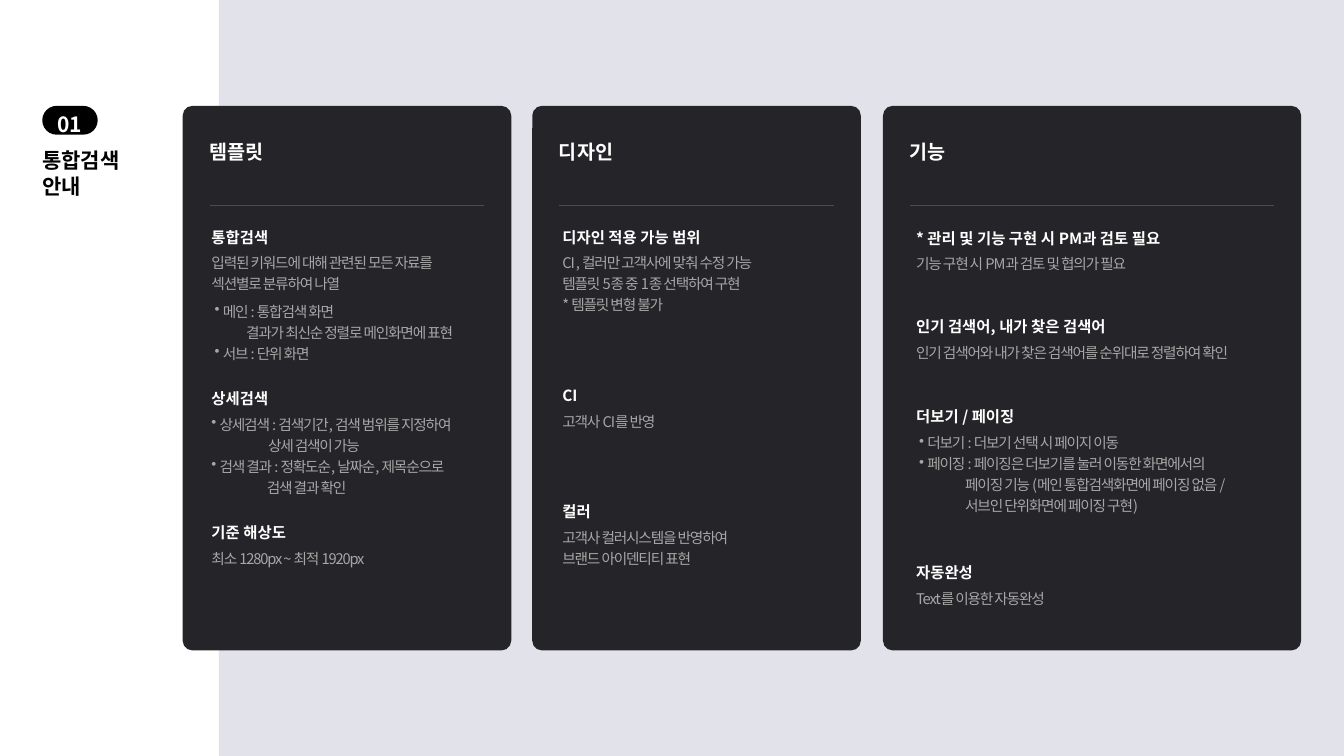
from dataclasses import dataclass

from lxml.etree import SubElement
from pptx import Presentation
from pptx.dml.color import RGBColor
from pptx.enum.shapes import MSO_CONNECTOR, MSO_SHAPE
from pptx.enum.text import MSO_AUTO_SIZE, PP_ALIGN
from pptx.oxml.ns import qn
from pptx.util import Pt


@dataclass(frozen=True)
class Theme:
    font: str = "Noto Sans CJK KR"
    backdrop: str = "E2E2EA"
    card: str = "252529"
    divider: str = "4C4C52"
    black: str = "000000"
    white: str = "FFFFFF"
    muted: str = "A7A7A7"
    title_size: float = 15
    heading_size: float = 14
    section_size: float = 11
    body_size: float = 10.5
    body_leading: float = 15
    body_tracking: float = -0.8


@dataclass(frozen=True)
class Line:
    text: str
    indent: float = 0
    bullet: bool = False


@dataclass(frozen=True)
class Block:
    lines: list
    top: float = 16.6
    shift: float = 0


@dataclass(frozen=True)
class Section:
    top: float
    title: str
    blocks: list


THEME = Theme()
BULLET_HANG = 5.8


def item(text):
    return Line(text, BULLET_HANG, True)


def plain(*texts):
    return [Block([Line(text) for text in texts])]


TEMPLATE_SECTIONS = [
    Section(83.5, "통합검색", [
        *plain("입력된 키워드에 대해 관련된 모든 자료를", "섹션별로 분류하여 나열"),
        Block([
            item("메인 : 통합검색 화면"),
            Line("결과가 최신순 정렬로 메인화면에 표현", 22.5),
            item("서브 : 단위 화면"),
        ], top=51.1, shift=2.2),
    ]),
    Section(198.7, "상세검색", [
        Block([
            item("상세검색 : 검색기간, 검색 범위를 지정하여"),
            Line("상세 검색이 가능", 40.4),
            item("검색 결과 : 정확도순, 날짜순, 제목순으로"),
            Line("검색 결과 확인", 39.6),
        ]),
    ]),
    Section(294.5, "기준 해상도", plain("최소 1280px ~ 최적 1920px")),
]

DESIGN_SECTIONS = [
    Section(83.5, "디자인 적용 가능 범위", plain(
        "CI , 컬러만 고객사에 맞춰 수정 가능",
        "템플릿 5종 중 1종 선택하여 구현",
        "* 템플릿 변형 불가",
    )),
    Section(196.6, "CI", plain("고객사 CI를 반영")),
    Section(279.4, "컬러", plain("고객사 컬러시스템을 반영하여", "브랜드 아이덴티티 표현")),
]

FEATURE_SECTIONS = [
    Section(84.2, "* 관리 및 기능 구현 시 PM과 검토 필요", plain("기능 구현 시 PM과 검토 및 협의가 필요")),
    Section(147.6, "인기 검색어, 내가 찾은 검색어", plain("인기 검색어와 내가 찾은 검색어를 순위대로 정렬하여 확인")),
    Section(211.7, "더보기 / 페이징", [
        Block([
            item("더보기 : 더보기 선택 시 페이지 이동"),
            item("페이징 : 페이징은 더보기를 눌러 이동한 화면에서의"),
            Line("페이징 기능 (메인 통합검색화면에 페이징 없음 /", 32.8),
            Line("서브인 단위화면에 페이징 구현)", 32.8),
        ], shift=2.2),
    ]),
    Section(323.3, "자동완성", plain("Text를 이용한 자동완성")),
]


def add_text(slide, box, lines, size, color, bold=False, align=None, leading=None, tracking=None):
    frame = slide.shapes.add_textbox(*map(Pt, box)).text_frame
    frame.word_wrap = True
    frame.auto_size = MSO_AUTO_SIZE.SHAPE_TO_FIT_TEXT
    for index, line in enumerate(lines):
        paragraph = frame.paragraphs[0] if index == 0 else frame.add_paragraph()
        properties = paragraph._p.get_or_add_pPr()
        if line.indent:
            properties.set("marL", str(int(Pt(line.indent))))
        if line.bullet:
            properties.set("indent", str(-int(Pt(line.indent))))
            SubElement(properties, qn("a:buChar")).set("char", "•")
        if align is not None:
            paragraph.alignment = align
        if leading is not None:
            paragraph.line_spacing = leading
        run = paragraph.add_run()
        run.text = line.text
        run.font.size = Pt(size)
        run.font.bold = bold
        run.font.color.rgb = RGBColor.from_string(color)
        run.font.name = THEME.font
        run_properties = run._r.get_or_add_rPr()
        SubElement(run_properties, qn("a:ea")).set("typeface", THEME.font)
        if tracking is not None:
            run_properties.set("spc", str(round(tracking * 100)))


def add_panel(slide, box, color, radius=0):
    kind = MSO_SHAPE.ROUNDED_RECTANGLE if radius else MSO_SHAPE.RECTANGLE
    panel = slide.shapes.add_shape(kind, *map(Pt, box))
    if radius:
        panel.adjustments[0] = radius / min(box[2:])
    panel.shadow.inherit = False
    panel.fill.solid()
    panel.fill.fore_color.rgb = RGBColor.from_string(color)
    panel.line.fill.background()


def add_divider(slide, left, right, y):
    divider = slide.shapes.add_connector(
        MSO_CONNECTOR.STRAIGHT, Pt(left), Pt(y), Pt(right), Pt(y))
    divider.line.color.rgb = RGBColor.from_string(THEME.divider)
    divider.line.width = Pt(0.5)
    SubElement(divider._element.spPr, qn("a:effectLst"))


def add_title(slide, box):
    left, top, width, height = box
    add_panel(slide, (left, top, 39.6, 20.6), THEME.black, radius=10.3)
    add_text(slide, (left + 2.9, top - 8.6, 33.8, 31), [Line("01")],
             THEME.title_size, THEME.white, bold=True, align=PP_ALIGN.CENTER, leading=1.5)
    add_text(slide, (left - 7.2, top + 26.6, width, height - 26.6),
             [Line("통합검색"), Line("안내")], THEME.title_size, THEME.black, bold=True)


def add_card(slide, box, heading, sections, inset):
    left, top, width, height = box
    add_panel(slide, box, THEME.card, radius=7)
    add_text(slide, (left + 12, top + 20.9, width - 24, 24.5), [Line(heading)],
             THEME.heading_size, THEME.white, bold=True)
    add_divider(slide, left + 19.4, left + width - 19.4, top + 71.3)
    text_width = width - inset - 4
    for section in sections:
        section_top = top + section.top
        add_text(slide, (left + inset, section_top, text_width, 20.9), [Line(section.title)],
                 THEME.section_size, THEME.white, bold=True)
        for block in section.blocks:
            block_height = len(block.lines) * THEME.body_leading + 7.2
            add_text(slide,
                     (left + inset + block.shift, section_top + block.top,
                      text_width - block.shift, block_height),
                     block.lines, THEME.body_size, THEME.muted,
                     leading=Pt(THEME.body_leading), tracking=THEME.body_tracking)


def main():
    deck = Presentation()
    deck.slide_width, deck.slide_height = Pt(960), Pt(540)
    slide = deck.slides.add_slide(deck.slide_layouts[6])
    add_panel(slide, (156.3, 0, 803.7, 540), THEME.backdrop)
    add_title(slide, (30.2, 75.6, 87, 70.6))
    card_top, card_height = 75.6, 389
    for left, width, heading, sections, inset in (
        (130.5, 234.7, "템플릿", TEMPLATE_SECTIONS, 13.5),
        (380.2, 234.7, "디자인", DESIGN_SECTIONS, 14.4),
        (630.7, 298.7, "기능", FEATURE_SECTIONS, 16.6),
    ):
        add_card(slide, (left, card_top, width, card_height), heading, sections, inset)
    deck.save("out.pptx")


if __name__ == "__main__":
    main()
